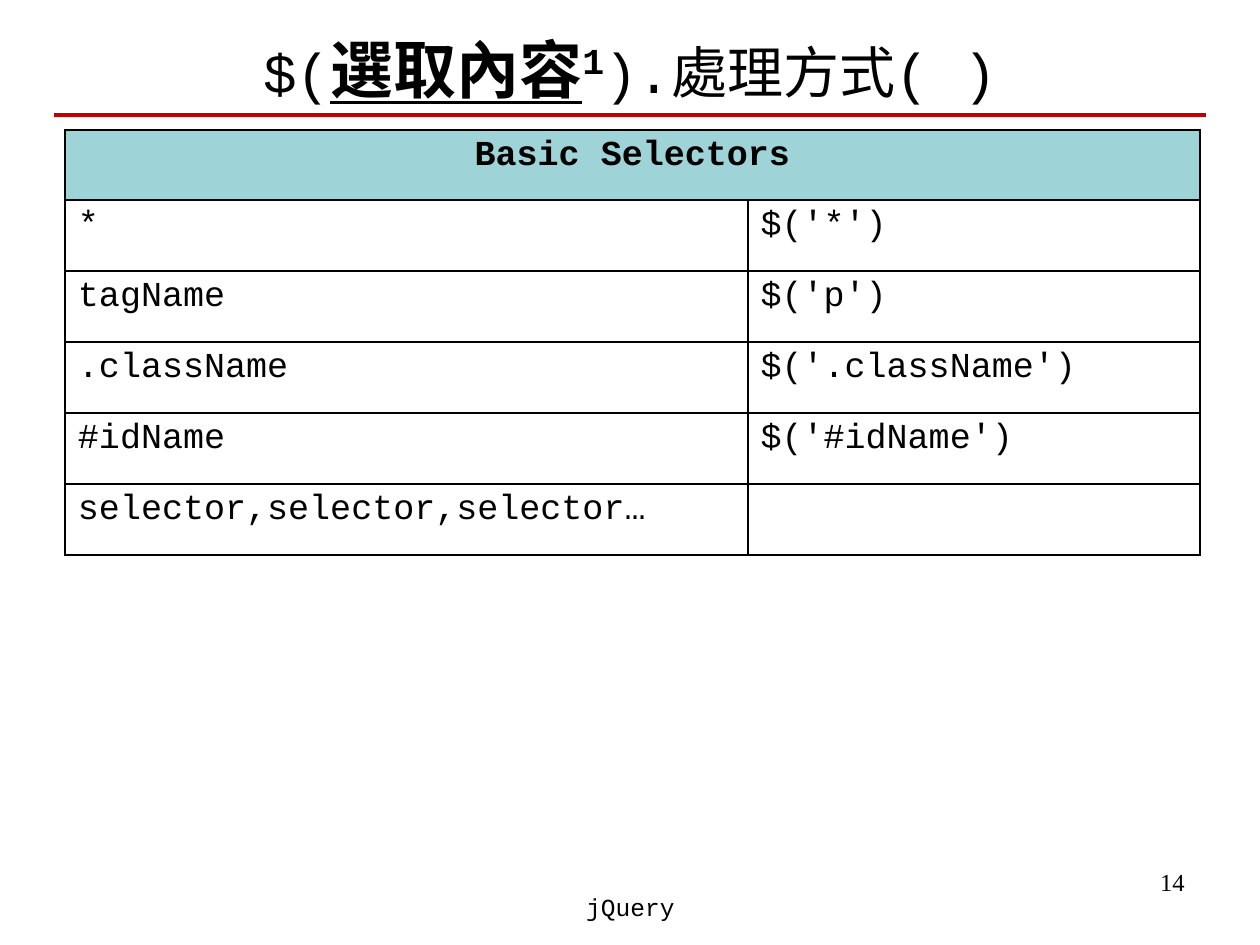
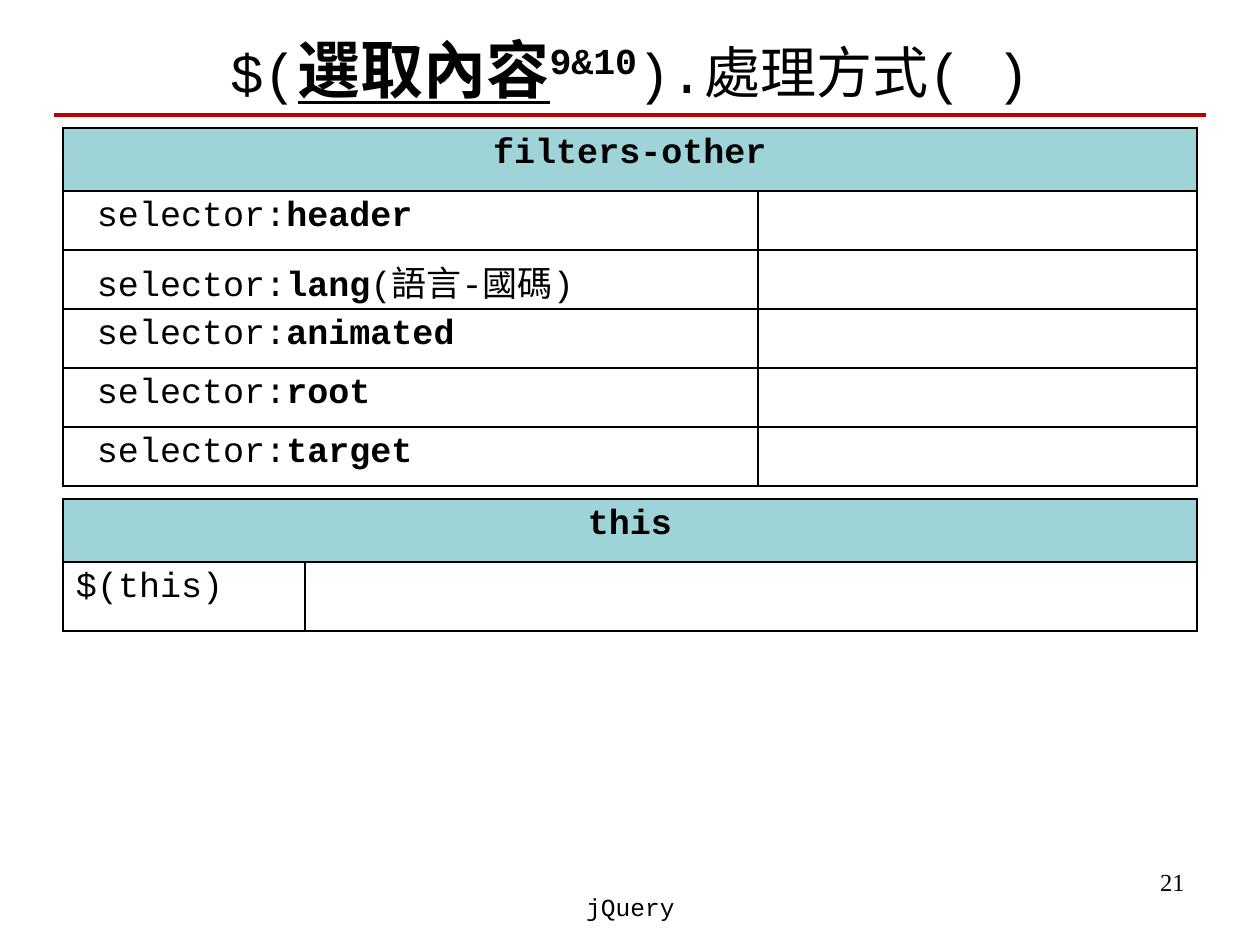
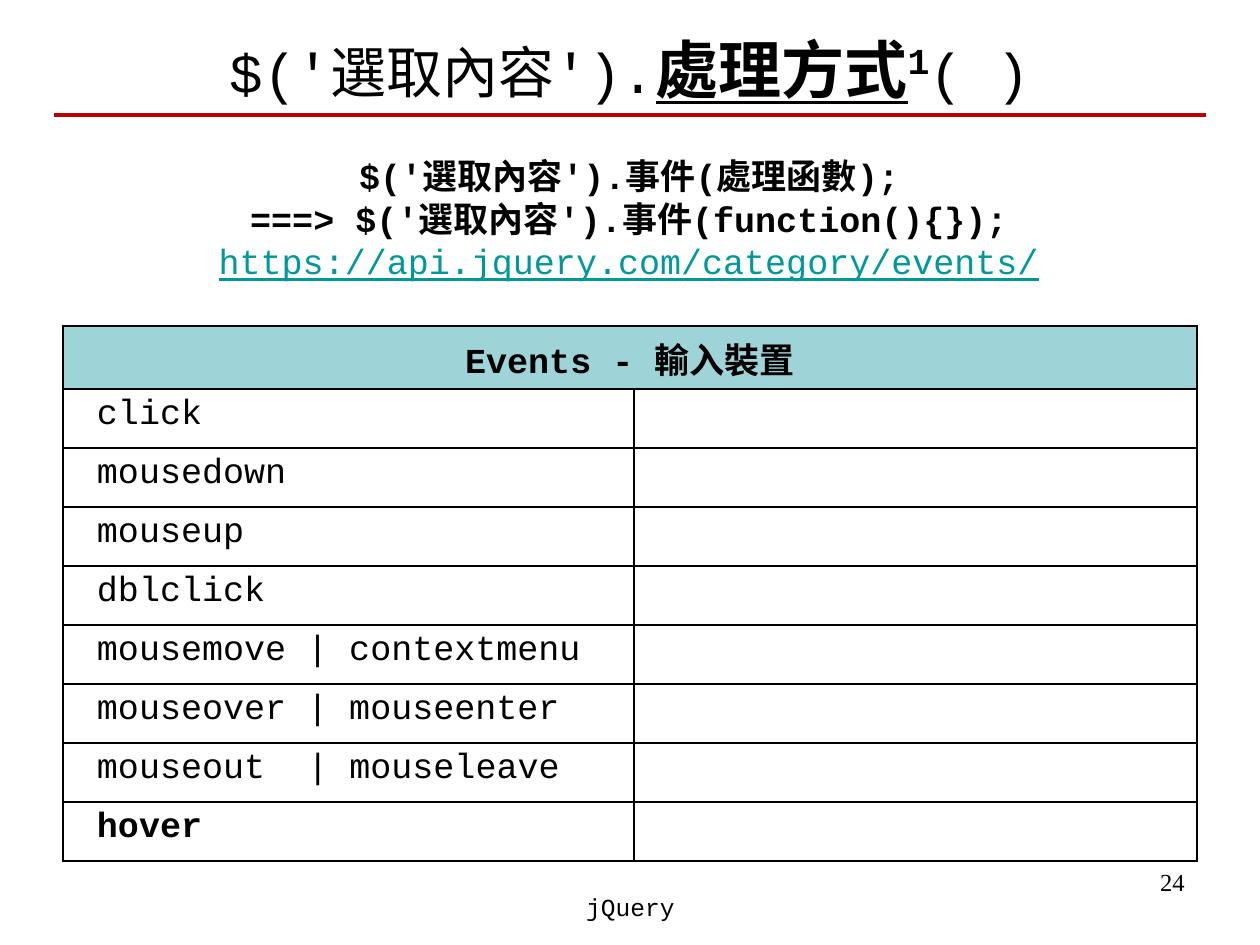
"""Builds three jQuery reference slides with selector and event tables."""
from lxml import etree
from pptx import Presentation
from pptx.dml.color import RGBColor
from pptx.enum.shapes import MSO_CONNECTOR as CONN
from pptx.enum.text import MSO_ANCHOR as ANCHOR, MSO_AUTO_SIZE as AUTO, PP_ALIGN as ALIGN
from pptx.oxml import parse_xml
from pptx.oxml.ns import nsdecls, qn
from pptx.util import Emu, Pt

PX = 914400 / 126
BLACK = RGBColor(0x00, 0x00, 0x00)
RED = RGBColor(0xC0, 0x00, 0x00)
TEAL = RGBColor(0x9E, 0xD3, 0xD7)
LINK = RGBColor(0x00, 0x99, 0x99)
MONO, SERIF = "Courier New", "Times New Roman"

PLAIN = {}
BOLD = {"bold": True}
KEY = {"bold": True, "underline": True, "size": Pt(36)}
SUPER = {"bold": True, "size": Pt(36), "baseline": "30000"}
URL = {"underline": True}
WIDE = {"spc": "1200"}


def px(*lengths):
    return [Emu(round(n * PX)) for n in lengths]


def write(p, runs, size, align=ALIGN.LEFT, font=MONO, color=BLACK):
    p.alignment = align
    for text, style in runs:
        r = p.add_run()
        r.text = text
        r.font.name, r.font.size, r.font.bold = font, Pt(size), False
        r.font.color.rgb = color
        for name, value in style.items():
            if name in ("baseline", "spc"):
                r._r.get_or_add_rPr().set(name, value)
            else:
                setattr(r.font, name, value)


basic = {
    "at": (65, 130), "cols": (683, 452), "head": 70, "row": 71, "indent": 0,
    "title": "Basic Selectors",
    "rows": [
        ([("*", PLAIN)], "$('*')"),
        ([("tagName", PLAIN)], "$('p')"),
        ([(".className", PLAIN)], "$('.className')"),
        ([("#idName", PLAIN)], "$('#idName')"),
        ([("selector,selector,selector…", PLAIN)], ""),
    ],
}
filters = {
    "at": (63, 128), "cols": (695, 439), "head": 63, "row": 59, "indent": 21,
    "title": "filters-other",
    "rows": [
        ([("selector:", PLAIN), (name, BOLD), (args, PLAIN)], "")
        for name, args in [("header", ""), ("lang", "(語言-國碼)"), ("animated", ""),
                           ("root", ""), ("target", "")]
    ],
}
this = {
    "at": (63, 499), "cols": (242, 892), "head": 63, "row": 69, "indent": 0,
    "title": "this", "rows": [([("$(this)", PLAIN)], "")],
}
events = {
    "at": (63, 326), "cols": (571, 563), "head": 63, "row": 59, "indent": 21,
    "title": "Events - 輸入裝置",
    "rows": [
        ([(name, PLAIN)], "")
        for name in ["click", "mousedown", "mouseup", "dblclick",
                     "mousemove | contextmenu", "mouseover | mouseenter"]
    ] + [
        ([("mouseout", PLAIN), (" ", WIDE), ("| mouseleave", PLAIN)], ""),
        ([("hover", BOLD)], ""),
    ],
}
intro = [
    ("$('選取內容').事件(處理函數);", BOLD, BLACK),
    ("===> $('選取內容').事件(function(){});", BOLD, BLACK),
    ("https://api.jquery.com/category/events/", URL, LINK),
]
select_titles = [
    [("$(", PLAIN), ("選取內容", KEY), (mark, SUPER), (").處理方式( )", PLAIN)]
    for mark in ("1", "9&10")
]
event_title = [("$('選取內容').", PLAIN), ("處理方式", KEY), ("1", SUPER), ("( )", PLAIN)]
slides = [
    (14, select_titles[0], [], [basic]),
    (21, select_titles[1], [], [filters, this]),
    (24, event_title, intro, [events]),
]

prs = Presentation()
prs.slide_width, prs.slide_height = px(1260, 945)

for number, title, lines, tables in slides:
    s = prs.slides.add_slide(prs.slide_layouts[5])

    sp = s.shapes.title
    sp.left, sp.top, sp.width, sp.height = px(63, 20, 1134, 96)
    tf = sp.text_frame
    tf.auto_size, tf.vertical_anchor = AUTO.NONE, ANCHOR.MIDDLE
    write(tf.paragraphs[0], title, 32, ALIGN.CENTER)

    rule = s.shapes.add_connector(CONN.STRAIGHT, *px(54, 115, 1206, 115))
    rule.line.color.rgb, rule.line.width = RED, Pt(2.25)
    etree.SubElement(rule._element.spPr, qn("a:effectLst"))

    for box, text, align, font in [
        ((903, 861, 294, 66), str(number), ALIGN.RIGHT, SERIF),
        ((431, 886, 399, 63), "jQuery", ALIGN.CENTER, MONO),
    ]:
        tf = s.shapes.add_textbox(*px(*box)).text_frame
        tf.word_wrap = True
        write(tf.paragraphs[0], [(text, PLAIN)], 14, align, font)

    if lines:
        tf = s.shapes.add_textbox(*px(60, 125, 1138, 186)).text_frame
        tf.word_wrap, tf.vertical_anchor = True, ANCHOR.MIDDLE
        for i, (text, style, color) in enumerate(lines):
            p = tf.add_paragraph() if i else tf.paragraphs[0]
            write(p, [(text, style)], 20, ALIGN.CENTER, color=color)

    for t in tables:
        heights = [t["head"]] + [t["row"]] * len(t["rows"])
        size = (sum(t["cols"]), sum(heights))
        table = s.shapes.add_table(len(heights), 2, *px(*t["at"], *size)).table
        table.first_row = table.horz_banding = False
        for col, width in zip(table.columns, px(*t["cols"])):
            col.width = width
        for row, height in zip(table.rows, px(*heights)):
            row.height = height
        for cell in table.iter_cells():
            for side in ("lnL", "lnR", "lnT", "lnB"):
                cell._tc.get_or_add_tcPr().append(parse_xml(
                    f'<a:{side} {nsdecls("a")} w="12700"><a:solidFill>'
                    f'<a:srgbClr val="{BLACK}"/></a:solidFill></a:{side}>'))
            cell.fill.background()

        head = table.cell(0, 0)
        head.merge(table.cell(0, 1))
        head.fill.solid()
        head.fill.fore_color.rgb = TEAL
        write(head.text_frame.paragraphs[0], [(t["title"], BOLD)], 20, ALIGN.CENTER)
        for i, (runs, example) in enumerate(t["rows"], 1):
            name = table.cell(i, 0)
            name.margin_left, = px(13 + t["indent"])
            runs = [run for run in runs if run[0]]
            write(name.text_frame.paragraphs[0], runs, 20)
            if example:
                write(table.cell(i, 1).text_frame.paragraphs[0], [(example, PLAIN)], 20)

prs.save("out.pptx")
